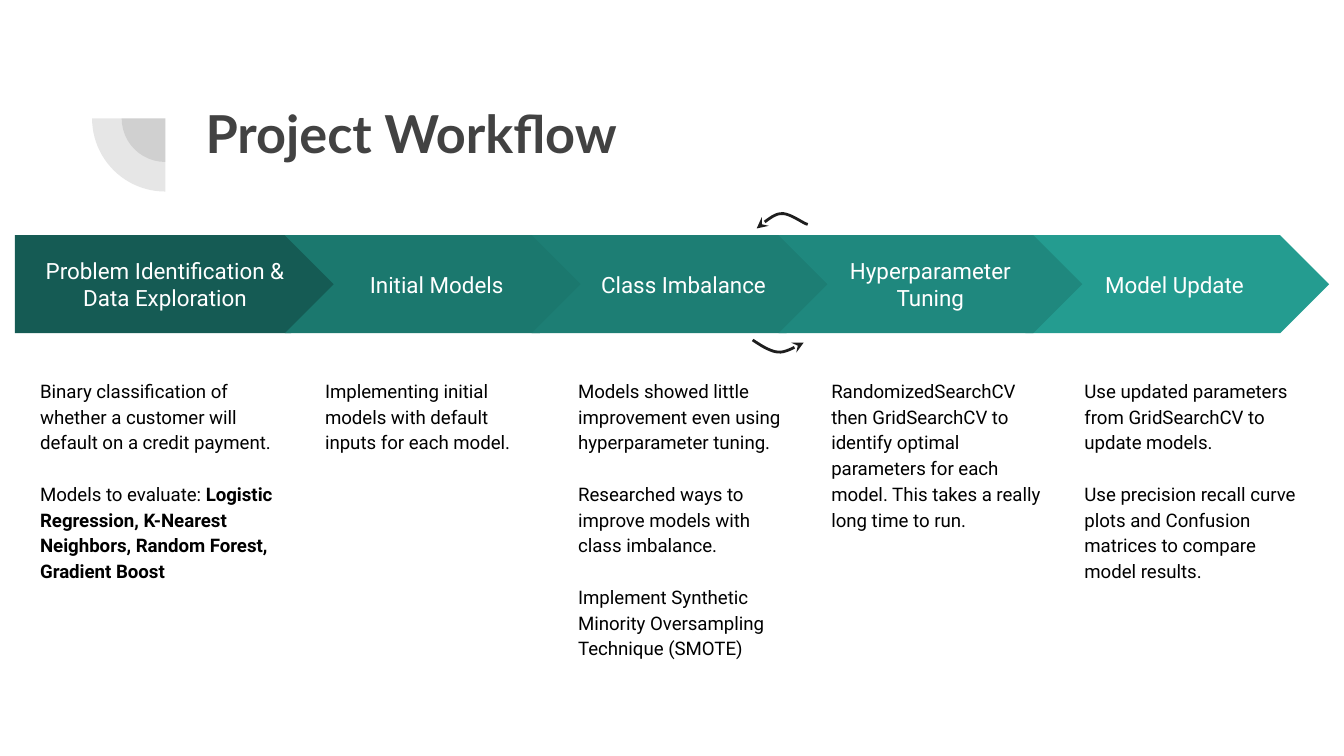
from lxml import etree
from pptx import Presentation
from pptx.dml.color import RGBColor
from pptx.enum.shapes import MSO_SHAPE
from pptx.enum.text import MSO_ANCHOR, MSO_AUTO_SIZE, PP_ALIGN
from pptx.oxml.ns import qn
from pptx.util import Inches, Pt

PIE, HOME, CHEVRON = MSO_SHAPE.PIE, MSO_SHAPE.PENTAGON, MSO_SHAPE.CHEVRON
TOP, MIDDLE = MSO_ANCHOR.TOP, MSO_ANCHOR.MIDDLE
LEFT, CENTER = PP_ALIGN.LEFT, PP_ALIGN.CENTER
FIXED = MSO_AUTO_SIZE.NONE

COLORS = {
    "title": "424242", "light": "FFFFFF", "body": "000000", "arrow": "1E1E1E",
    "problem": "155B54", "initial": "1B786E", "class": "1D7E74",
    "tuning": "1F887E", "update": "249C90",
}
FORMATS = {
    "title": {"size": Pt(28), "name": "Lato", "bold": True},
    "light": {"size": Pt(12), "name": "Roboto"},
    "body": {"size": Pt(10), "name": "Roboto"},
}
STEPS = [
    ("problem", "Problem Identification & Data Exploration", [
        ["Binary classification of whether a customer will default on a credit payment."],
        ["Models to evaluate: ",
         "Logistic Regression, K-Nearest Neighbors, Random Forest, Gradient Boost"]]),
    ("initial", "Initial Models", [
        ["Implementing initial models with default inputs for each model."]]),
    ("class", "Class Imbalance", [
        ["Models showed little improvement even using hyperparameter tuning."],
        ["Researched ways to improve models with class imbalance."],
        ["Implement Synthetic Minority Oversampling Technique (SMOTE)"]]),
    ("tuning", "Hyperparameter Tuning", [
        ["RandomizedSearchCV then GridSearchCV to identify optimal parameters "
         "for each model. This takes a really long time to run."]]),
    ("update", "Model Update ", [
        ["Use updated parameters from GridSearchCV to update models."],
        ["Use precision recall curve plots and Confusion matrices to compare "
         "model results."]]),
]
DRAW_ORDER = [0, 1, 2, 4, 3]
STEP_GAP, NOTE_GAP = 5.51 / 3, 5.65 / 3
LOOPS = [
    [(5.6, 2.53), (5.63, 2.55), (5.73, 2.62), (5.79, 2.62),
     (5.85, 2.63), (5.95, 2.56), (5.98, 2.55)],
    [(6.01, 1.67), (5.97, 1.66), (5.87, 1.58), (5.81, 1.59),
     (5.75, 1.59), (5.66, 1.68), (5.63, 1.7)],
]


def color(key):
    return RGBColor.from_string(COLORS[key])


def set_frame(frame, anchor):
    values = {"word_wrap": True, "auto_size": FIXED, "vertical_anchor": anchor}
    for side in ("left", "top", "right", "bottom"):
        values["margin_" + side] = Inches(0.1)
    for name, value in values.items():
        setattr(frame, name, value)


def add_run(para, text, style, bold=False):
    run = para.add_run()
    run.text = text
    for name, value in FORMATS[style].items():
        setattr(run.font, name, value)
    if bold:
        run.font.bold = True
    run.font.color.rgb = color(style)


def add_block(slide, kind, box, fill):
    shape = slide.shapes.add_shape(kind, *map(Inches, box))
    shape.shadow.inherit = False
    shape.fill.solid()
    shape.fill.fore_color.rgb = color(fill)
    shape.line.fill.background()
    return shape


def add_pie(slide, size):
    box = (1.23 - size / 2, 0.88 - size / 2, size, size)
    shape = add_block(slide, PIE, box, "title")
    shape.adjustments[0], shape.adjustments[1] = 54, 108
    tint = shape.element.find(".//" + qn("a:srgbClr"))
    etree.SubElement(tint, qn("a:alpha"), val="13000")


def add_title(slide, text):
    title = slide.shapes.title
    box = {"left": 1.43, "top": 0.65, "width": 7.69, "height": 1.09}
    for name, value in box.items():
        setattr(title, name, Inches(value))
    set_frame(title.text_frame, TOP)
    para = title.text_frame.paragraphs[0]
    para.alignment = LEFT
    add_run(para, text, "title")


def add_step(slide, index):
    fill, label, notes = STEPS[index]
    if index:
        kind, left, width = CHEVRON, 2.12 + STEP_GAP * (index - 1), 2.26
    else:
        kind, left, width = HOME, 0.11, 2.42
    shape = add_block(slide, kind, (left, 1.75, width, 0.73), fill)
    set_frame(shape.text_frame, MIDDLE)
    para = shape.text_frame.paragraphs[0]
    para.alignment = CENTER
    add_run(para, label, "light")
    if index:
        add_notes(slide, 2.32 + NOTE_GAP * (index - 1), 1.78, notes)
    else:
        add_notes(slide, 0.2, 2.01, notes)


def add_notes(slide, left, width, notes):
    frame = slide.shapes.add_textbox(*map(Inches, (left, 2.7, width, 2.57))).text_frame
    set_frame(frame, TOP)
    for row, parts in enumerate(notes):
        para = frame.add_paragraph() if row else frame.paragraphs[0]
        para.line_spacing = 1.15
        para.space_before = Pt(13.8 if row else 0)
        for part, text in enumerate(parts):
            add_run(para, text, "body", bold=part > 0)


def blend(ends, t):
    weights = ((1 - t) ** 3, 3 * t * (1 - t) ** 2, 3 * t ** 2 * (1 - t), t ** 3)
    return tuple(Inches(sum(w * p[axis] for w, p in zip(weights, ends)))
                 for axis in (0, 1))


def add_loop(slide, points):
    curve = [blend(points[start:start + 4], step / 10)
             for start in (0, 3) for step in range(1, 11)]
    pen = slide.shapes.build_freeform(*map(Inches, points[0]))
    pen.add_line_segments(curve, close=False)
    shape = pen.convert_to_shape()
    shape.shadow.inherit = False
    shape.fill.background()
    shape.line.color.rgb = color("arrow")
    shape.line.width = Pt(1.5)
    line = shape.element.find(".//" + qn("a:ln"))
    etree.SubElement(line, qn("a:tailEnd"), type="stealth")


def main():
    deck = Presentation()
    deck.slide_width, deck.slide_height = Inches(10), Inches(10 * 9 / 16)
    slide = deck.slides.add_slide(deck.slide_layouts[5])
    for size in (0.65, 1.09):
        add_pie(slide, size)
    add_title(slide, "Project Workflow")
    for index in DRAW_ORDER:
        add_step(slide, index)
    for points in LOOPS:
        add_loop(slide, points)
    deck.save("out.pptx")


if __name__ == "__main__":
    main()
